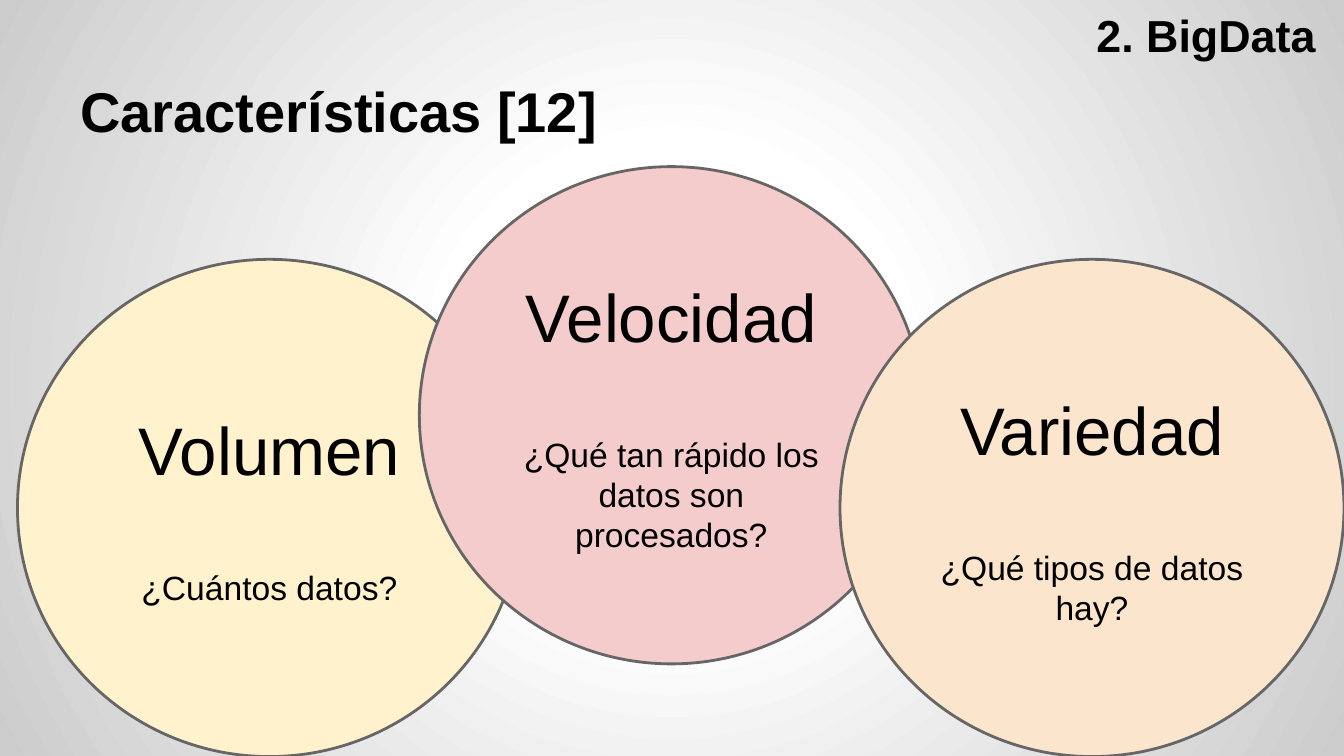
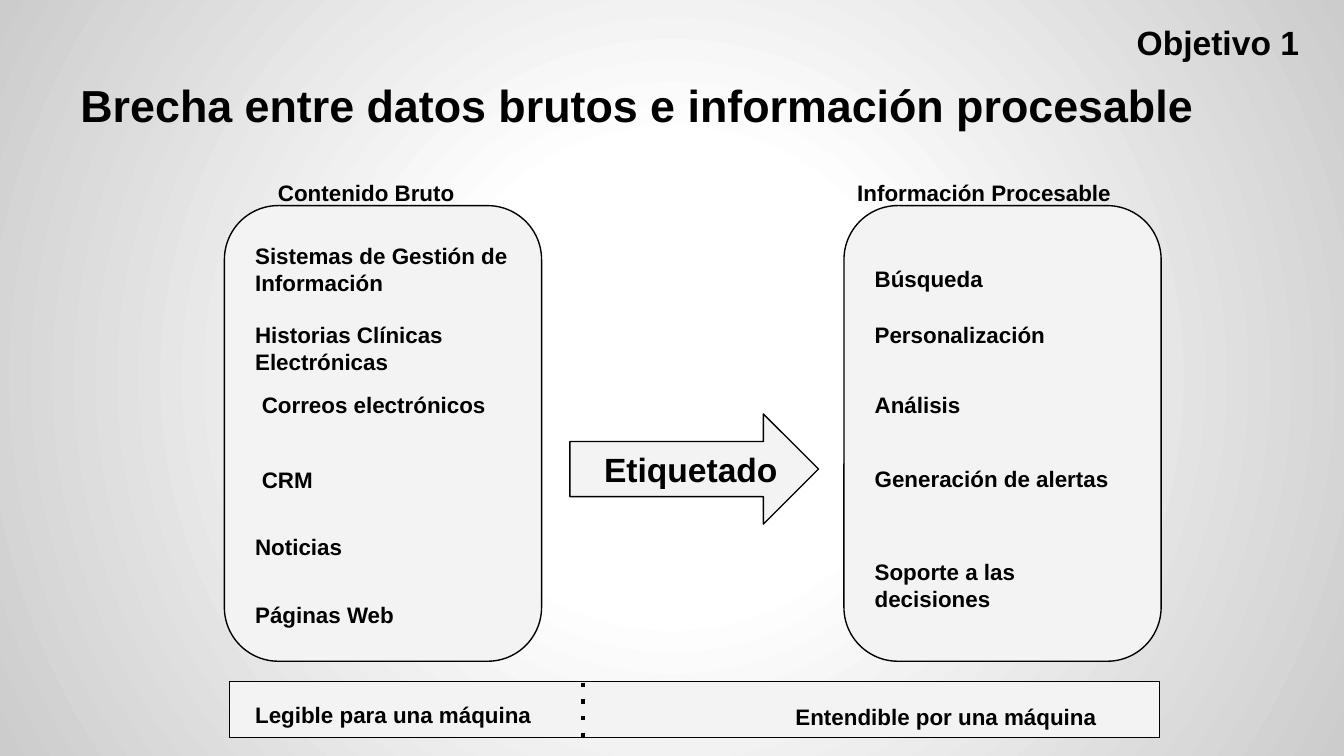
import dataclasses

import lxml.etree
import pptx
import pptx.dml.color
import pptx.enum.dml
import pptx.enum.shapes
import pptx.enum.text
import pptx.oxml
import pptx.oxml.ns
import pptx.util

Inches = pptx.util.Inches
Shape = pptx.enum.shapes.MSO_SHAPE
Align = pptx.enum.text.PP_ALIGN
Anchor = pptx.enum.text.MSO_ANCHOR


@dataclasses.dataclass(frozen=True)
class Theme:
    font: str = "Arial"
    ink: str = "000000"
    circle_line: str = "666666"
    panel: str = "F3F3F3"
    glow: tuple = ((0, "FFFFFF"), (30, "FFFFFF"), (100, "CCCCCC"))
    title: int = 30
    subtitle: int = 24
    word: int = 36
    body: int = 18
    label: int = 12
    inset: float = 0.1
    label_height: float = 0.32


THEME = Theme()

CIRCLE_SIZE = (3.75, 3.7)
CIRCLES = [
    ("Volumen", "¿Cuántos datos?", "FFF2CC", 0.13, 1.93),
    ("Velocidad", "¿Qué tan rápido los datos son procesados?", "F4CCCC", 3.12, 1.24),
    ("Variedad", "¿Qué tipos de datos hay?", "FCE5CD", 6.25, 1.93),
]

PANEL_LEFTS = (1.67, 6.28)
PANEL_TOP, PANEL_WIDTH, PANEL_HEIGHT = 1.53, 2.36, 3.39
BAR = (1.71, 5.07, 6.92, 0.42)
ARROW = (4.24, 3.08, 1.85, 0.82)
DIVIDER_LEFT, DIVIDER_TOP, DIVIDER_BOTTOM = 4.34, 5.08, 5.5

LABELS = [
    ("Contenido Bruto", 1.97, 1.23, 1.76),
    ("Información Procesable", 6.28, 1.23, 2.36),
    ("Legible para una máquina", 1.8, 5.12, 2.51),
    ("Entendible por una máquina", 5.82, 5.13, 2.78),
    ("Sistemas de Gestión de Información", 1.8, 1.7, 2.1),
    ("Historias Clínicas Electrónicas", 1.8, 2.29, 1.93),
    ("Correos electrónicos", 1.85, 2.81, 1.93),
    ("CRM", 1.85, 3.37, 1.93),
    ("Noticias", 1.8, 3.87, 1.93),
    ("Páginas Web", 1.8, 4.37, 1.93),
]
RESULT_LEFT, RESULT_WIDTH = 6.41, 2.1
RESULTS = [
    ("Búsqueda", 1.87),
    ("Personalización", 2.29),
    ("Análisis", 2.81),
    ("Generación de alertas", 3.36),
    ("Soporte a las decisiones", 4.05),
]


def color(value):
    return pptx.dml.color.RGBColor.from_string(value)


def write(box, text, size=THEME.label, bold=True, align=Align.LEFT,
          anchor=Anchor.TOP, before=0, append=False):
    frame = box.text_frame
    frame.word_wrap = True
    frame.vertical_anchor = anchor
    frame.margin_left = frame.margin_right = Inches(THEME.inset)
    frame.margin_top = frame.margin_bottom = Inches(THEME.inset)
    para = frame.add_paragraph() if append else frame.paragraphs[0]
    para.alignment = align
    if before:
        para.space_before = pptx.util.Pt(before)
    span = para.add_run()
    span.text = text
    span.font.name = THEME.font
    span.font.size = pptx.util.Pt(size)
    span.font.bold = bold
    span.font.color.rgb = color(THEME.ink)


def add_text(page, text, left, top, width, height=THEME.label_height, **style):
    box = page.shapes.add_textbox(*map(Inches, (left, top, width, height)))
    write(box, text, **style)


def add_box(page, kind, place, fill=THEME.panel, line=THEME.ink, weight=0.75):
    shape = page.shapes.add_shape(kind, *map(Inches, place))
    shape.shadow.inherit = False
    shape.fill.solid()
    shape.fill.fore_color.rgb = color(fill)
    shape.line.color.rgb = color(line)
    shape.line.width = pptx.util.Pt(weight)
    return shape


def add_divider(page):
    left = Inches(DIVIDER_LEFT)
    line = page.shapes.add_connector(
        pptx.enum.shapes.MSO_CONNECTOR.STRAIGHT,
        left, Inches(DIVIDER_TOP), left, Inches(DIVIDER_BOTTOM))
    line.line.color.rgb = color(THEME.ink)
    line.line.width = pptx.util.Pt(2.25)
    line.line.dash_style = pptx.enum.dml.MSO_LINE.ROUND_DOT
    dash = line.element.find(".//" + pptx.oxml.ns.qn("a:prstDash"))
    dash.set("val", "dot")
    lxml.etree.SubElement(line.element.spPr, pptx.oxml.ns.qn("a:effectLst"))


def paint_background(page):
    page.background.fill.solid()
    solid = page.element.find(".//" + pptx.oxml.ns.qn("p:bgPr"))[0]
    stops = "".join(
        f'<a:gs pos="{place * 1000}"><a:srgbClr val="{value}"/></a:gs>'
        for place, value in THEME.glow)
    glow = pptx.oxml.parse_xml(
        f'<a:gradFill {pptx.oxml.ns.nsdecls("a")}><a:gsLst>{stops}</a:gsLst>'
        '<a:path path="circle"><a:fillToRect l="50000" t="50000" r="50000" b="50000"/>'
        '</a:path></a:gradFill>')
    solid.getparent().replace(solid, glow)


def add_page(deck, title, title_top, title_size, section, section_left, section_size):
    page = deck.slides.add_slide(deck.slide_layouts[6])
    paint_background(page)
    add_text(page, title, 0.5, title_top, 9, 0.94, size=title_size, anchor=Anchor.BOTTOM)
    add_text(page, section, section_left, 0, 10 - section_left, 0.56,
             size=section_size, anchor=Anchor.BOTTOM)
    return page


def build_features(deck):
    page = add_page(deck, "Características [12]", 0.23, THEME.title,
                    "2. BigData", 8.06, THEME.subtitle)
    for word, question, fill, left, top in CIRCLES:
        circle = add_box(page, Shape.OVAL, (left, top, *CIRCLE_SIZE),
                         fill=fill, line=THEME.circle_line, weight=1.5)
        style = dict(bold=False, align=Align.CENTER, anchor=Anchor.MIDDLE)
        write(circle, word, size=THEME.word, **style)
        write(circle, question, size=THEME.body, before=THEME.word * 1.15,
              append=True, **style)


def build_gap(deck):
    page = add_page(deck, "Brecha entre datos brutos e información procesable",
                    0.14, THEME.subtitle, "Objetivo 1", 8.36, THEME.body)
    for left in PANEL_LEFTS:
        panel = add_box(page, Shape.ROUNDED_RECTANGLE,
                        (left, PANEL_TOP, PANEL_WIDTH, PANEL_HEIGHT))
        panel.adjustments[0] = 0.17
    arrow = add_box(page, Shape.RIGHT_ARROW, ARROW)
    write(arrow, "Etiquetado", size=THEME.body, align=Align.RIGHT, anchor=Anchor.MIDDLE)
    add_box(page, Shape.RECTANGLE, BAR)
    add_divider(page)
    for text, left, top, width in LABELS:
        add_text(page, text, left, top, width)
    for text, top in RESULTS:
        add_text(page, text, RESULT_LEFT, top, RESULT_WIDTH)


def main():
    deck = pptx.Presentation()
    deck.slide_width = Inches(10)
    deck.slide_height = Inches(10) * 9 // 16
    build_features(deck)
    build_gap(deck)
    deck.save("out.pptx")


if __name__ == "__main__":
    main()
